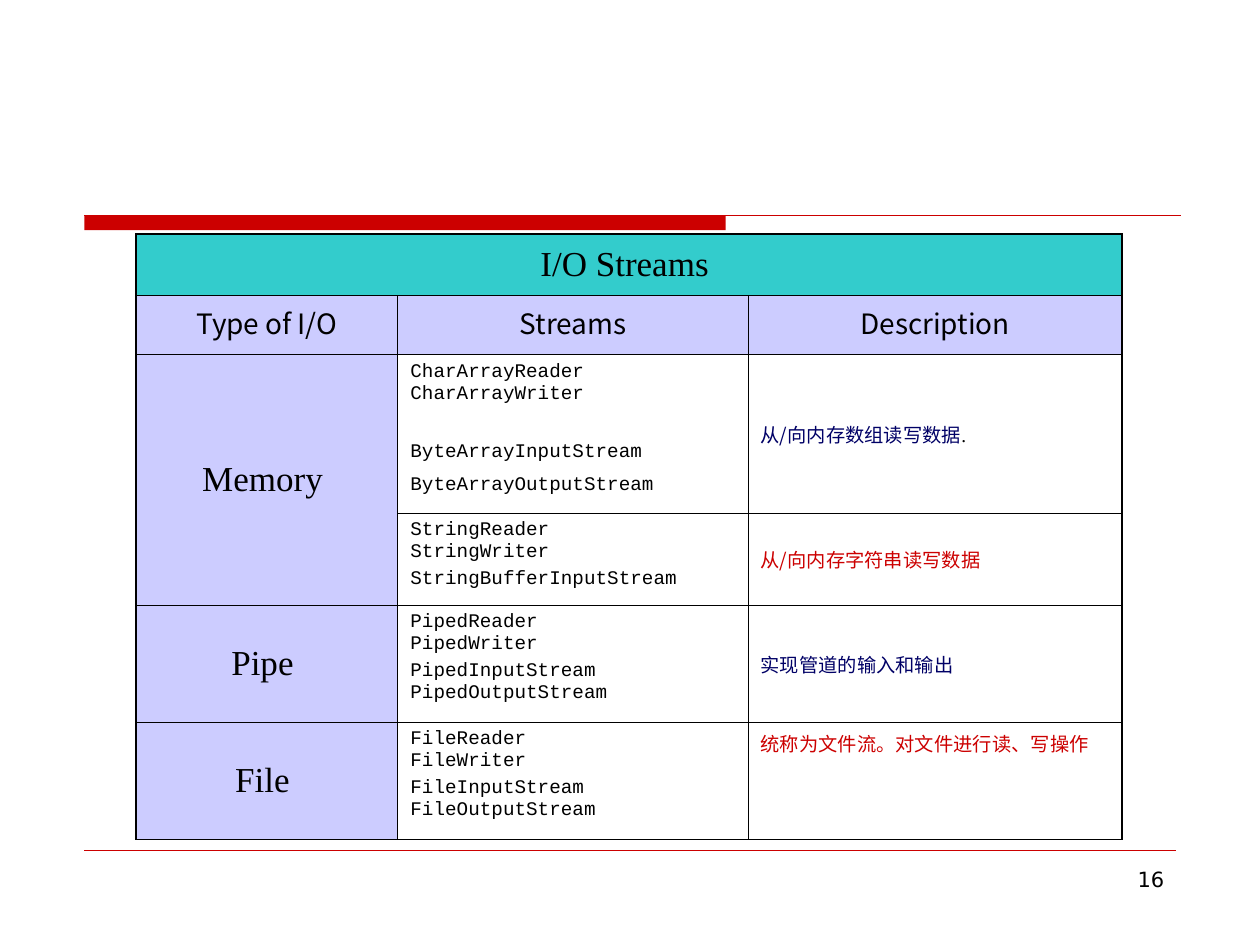
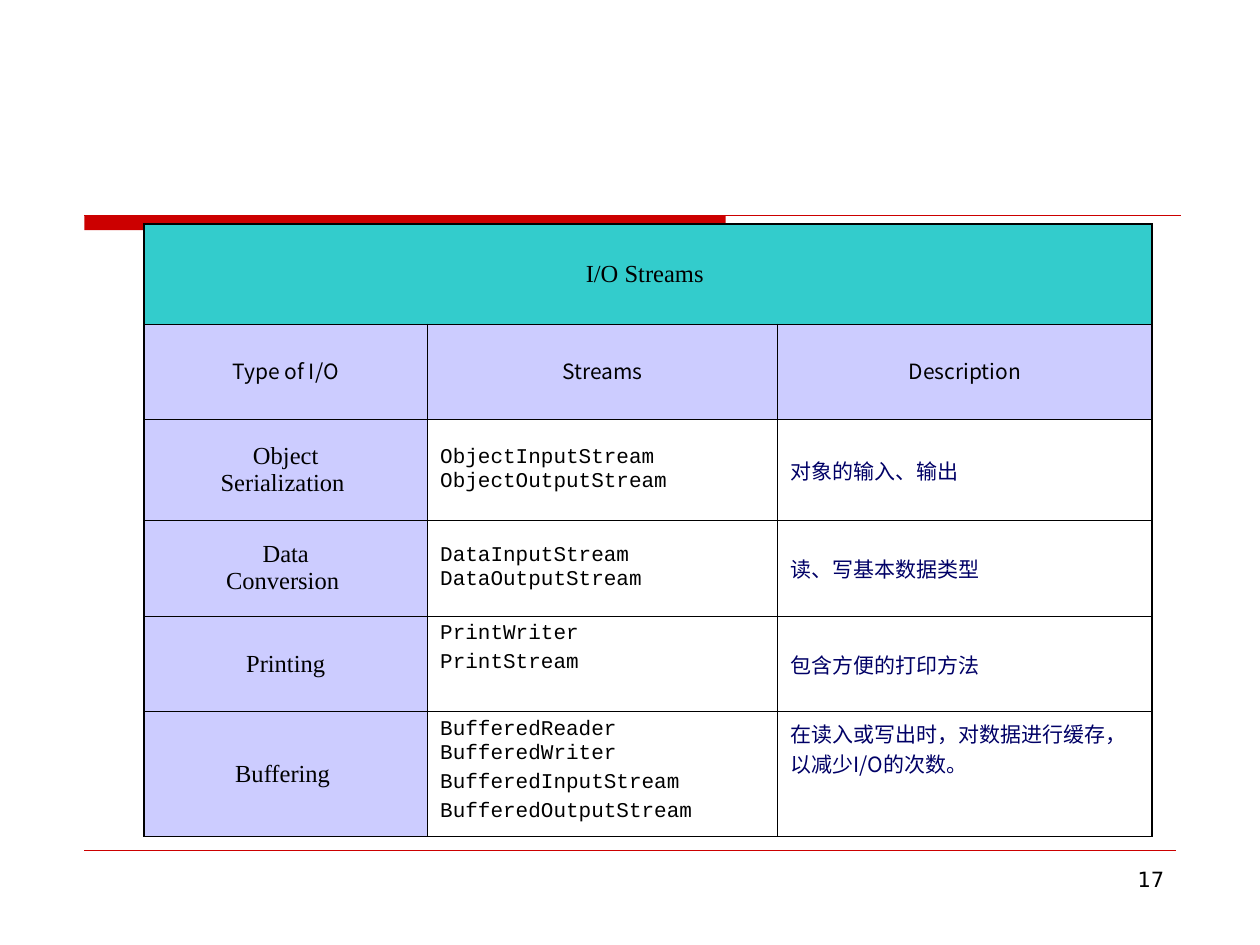
from lxml.etree import SubElement
from pptx import Presentation
from pptx.dml.color import RGBColor
from pptx.enum.shapes import MSO_CONNECTOR as CONN, MSO_SHAPE as SHAPE
from pptx.enum.text import MSO_ANCHOR as ANCHOR, PP_ALIGN as ALIGN
from pptx.oxml.ns import qn
from pptx.util import Cm, Pt

RED = RGBColor(0xCC, 0x00, 0x00)
TEAL = RGBColor(0x33, 0xCC, 0xCC)
LAVENDER = RGBColor(0xCC, 0xCC, 0xFF)
NAVY = RGBColor(0x00, 0x00, 0x66)
BLACK = RGBColor(0x00, 0x00, 0x00)
WHITE = RGBColor(0xFF, 0xFF, 0xFF)

SANS, SERIF, MONO, CJK = "DejaVu Sans", "Times New Roman", "Courier New", "Noto Sans CJK SC"
TITLE = "I/O Streams "
HEADERS = ["Type of I/O", "Streams", "Description"]

MEMORY_ROWS = [
    ("Memory ",
     ["CharArrayReader\nCharArrayWriter", ("ByteArrayInputStream", 20.5), ("ByteArrayOutputStream", 6.5)],
     "从/向内存数组读写数据", NAVY),
    (None, ["StringReader\nStringWriter", "StringBufferInputStream"], "从/向内存字符串读写数据", RED),
    ("Pipe ", ["PipedReader\nPipedWriter", "PipedInputStream\nPipedOutputStream"],
     "实现管道的输入和输出", NAVY),
    ("File ", ["FileReader\nFileWriter", "FileInputStream\nFileOutputStream"],
     "统称为文件流。对文件进行读、写操作", RED),
]
OBJECT_ROWS = [
    ("Object\nSerialization ", ["ObjectInputStream\nObjectOutputStream"], "对象的输入、输出", NAVY),
    ("Data\nConversion ", ["DataInputStream\nDataOutputStream"], "读、写基本数据类型", NAVY),
    ("Printing", ["PrintWriter", "PrintStream"], "包含方便的打印方法", NAVY),
    ("Buffering ",
     ["BufferedReader\nBufferedWriter", "BufferedInputStream", ("BufferedOutputStream", 3.5)],
     "在读入或写出时，对数据进行缓存，以减少I/O的次数。", NAVY),
]


class Deck:
    """Holds the shared style and the slide being drawn."""

    def __init__(self):
        self.prs = Presentation()
        self.prs.slide_width, self.prs.slide_height = Cm(25.4), Cm(19.05)
        self.s = None

    def new_slide(self, number):
        self.s = self.prs.slides.add_slide(self.prs.slide_layouts[6])
        self.band(1.7, 4.34, 12.93, 0.3)
        self.rule(1.7, 23.8, 4.34, 0.75)
        self.rule(1.7, 23.7, 17.15, 0.25)
        self.page_number(number)

    def band(self, x, y, w, h):
        sp = self.s.shapes.add_shape(SHAPE.RECTANGLE, Cm(x), Cm(y), Cm(w), Cm(h))
        sp.shadow.inherit = False
        sp.fill.solid()
        sp.fill.fore_color.rgb = RED
        sp.line.fill.background()

    def rule(self, x1, x2, y, width):
        ln = self.s.shapes.add_connector(CONN.STRAIGHT, Cm(x1), Cm(y), Cm(x2), Cm(y))
        ln.line.color.rgb = RED
        ln.line.width = Pt(width)
        SubElement(ln._element.spPr, qn("a:effectLst"))

    def page_number(self, number):
        tf = self.s.shapes.add_textbox(Cm(18.21), Cm(17.35), Cm(5.51), Cm(1.32)).text_frame
        tf.word_wrap = True
        p = tf.paragraphs[0]
        p.text = str(number)
        p.alignment = ALIGN.RIGHT
        self.font(p.font, SANS, 12, BLACK)

    def font(self, font, name, size, color):
        font.name, font.size = name, Pt(size)
        font.color.rgb = color
        if name == CJK:
            SubElement(font._element, qn("a:ea"), typeface=CJK)

    def cell(self, cell, paragraphs, name, size, color=BLACK, fill=WHITE,
             align=ALIGN.LEFT, anchor=ANCHOR.MIDDLE, spacing=None):
        cell.fill.solid()
        cell.fill.fore_color.rgb = fill
        cell.vertical_anchor = anchor
        tf = cell.text_frame
        for i, item in enumerate(paragraphs):
            text, before = item if isinstance(item, tuple) else (item, size / 4)
            p = tf.add_paragraph() if i else tf.paragraphs[0]
            p.text = text
            p.alignment = align
            p.space_before = Pt(before)
            p.line_spacing = spacing
            self.font(p.font, name, size, color)

    def borders(self, table):
        last_row, last_col = len(table.rows) - 1, len(table.columns) - 1
        for i in range(last_row + 1):
            for j in range(last_col + 1):
                cell = table.cell(i, j)
                right = j + cell.span_width - 1 if cell.is_merge_origin else j
                outer = {"L": j == 0, "R": right == last_col, "T": i == 0, "B": i == last_row}
                tcPr = cell._tc.get_or_add_tcPr()
                for k, (side, is_outer) in enumerate(outer.items()):
                    ln = tcPr.makeelement(qn(f"a:ln{side}"), w=str(Pt(1.08 if is_outer else 0.45)))
                    SubElement(SubElement(ln, qn("a:solidFill")), qn("a:srgbClr"), val=str(BLACK))
                    tcPr.insert(k, ln)

    def streams_table(self, x, y, widths, heights, rows, title_size, header_size, body_size):
        frame = self.s.shapes.add_table(len(heights), len(widths), Cm(x), Cm(y),
                                        Cm(sum(widths)), Cm(sum(heights)))
        table = frame.table
        for column, width in zip(table.columns, widths):
            column.width = Cm(width)
        for row, height in zip(table.rows, heights):
            row.height = Cm(height)
        table.cell(0, 0).merge(table.cell(0, 2))
        self.cell(table.cell(0, 0), [TITLE], SERIF, title_size, fill=TEAL, align=ALIGN.CENTER)
        for j, header in enumerate(HEADERS):
            self.cell(table.cell(1, j), [header], CJK, header_size, fill=LAVENDER,
                      align=ALIGN.CENTER, spacing=0.8)
        for i, (label, streams, description, color) in enumerate(rows, 2):
            if label:
                self.cell(table.cell(i, 0), [label], SERIF, title_size, fill=LAVENDER,
                          align=ALIGN.CENTER)
            else:
                table.cell(i - 1, 0).merge(table.cell(i, 0))
            self.cell(table.cell(i, 1), streams, MONO, body_size,
                      anchor=ANCHOR.TOP if len(streams) > 1 else ANCHOR.MIDDLE)
            self.cell(table.cell(i, 2), [description], CJK, body_size, color,
                      anchor=ANCHOR.TOP if i == len(heights) - 1 else ANCHOR.MIDDLE)
        self.borders(table)
        return table


def main():
    deck = Deck()
    deck.new_slide(16)
    table = deck.streams_table(2.74, 4.72, [5.28, 7.06, 7.54], [1.24, 1.19, 3.2, 1.85, 2.36, 2.36],
                               MEMORY_ROWS, 20, 16, 11)
    r = table.cell(2, 2).text_frame.paragraphs[0].add_run()
    r.text = "."
    deck.font(r.font, SERIF, 11, BLACK)
    deck.new_slide(17)
    deck.streams_table(2.9, 4.52, [5.72, 7.06, 7.54], [2.01, 1.93, 2.03, 1.93, 1.93, 2.49],
                       OBJECT_ROWS, 14, 12, 12)
    deck.prs.save("out.pptx")


if __name__ == "__main__":
    main()
